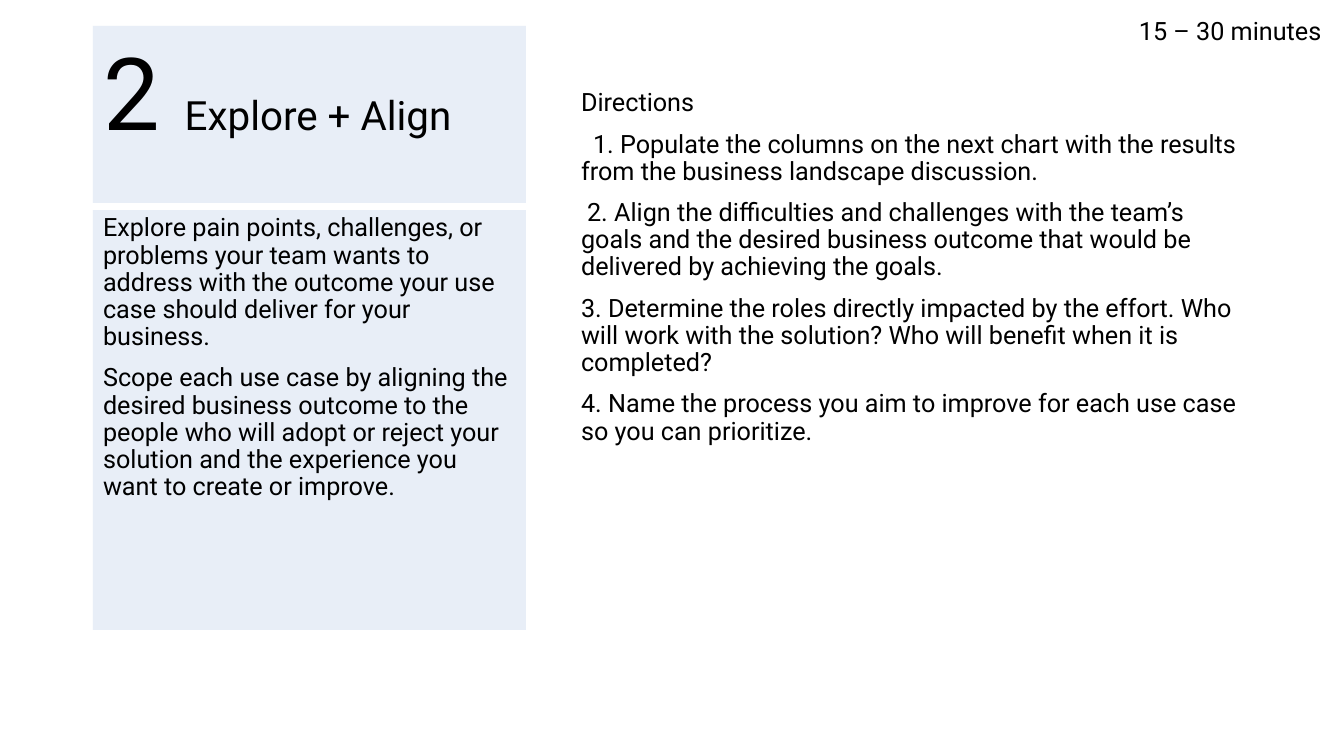
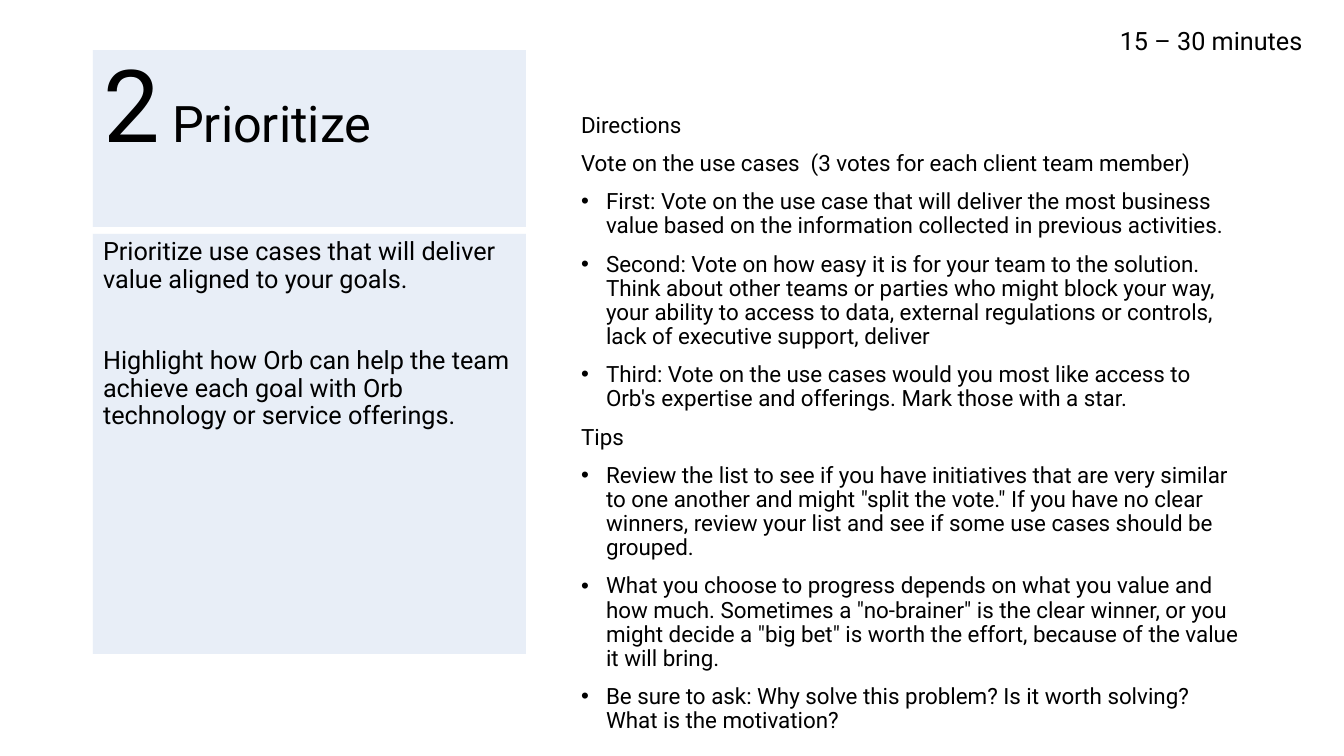
from dataclasses import dataclass

from lxml.etree import SubElement
from pptx import Presentation
from pptx.dml.color import RGBColor
from pptx.enum.text import MSO_ANCHOR, MSO_AUTO_SIZE, PP_ALIGN
from pptx.oxml.ns import qn
from pptx.util import Emu, Pt


@dataclass(frozen=True)
class Theme:
    font: str = "Roboto"
    ink: RGBColor = RGBColor(0, 0, 0)
    panel: RGBColor = RGBColor(0xB4, 0xC7, 0xE7)
    panel_alpha: int = 30
    number: float = 72
    text: float = 18
    line: float = 0.9
    gap: float = 10


@dataclass(frozen=True)
class Para:
    text: str
    bullet: bool = False
    first: int = 0          # first-line indent, px
    before: float = Theme.gap


T = Theme()
PX = 914400 / 100.8
BULLET = 25


def place(shape, *box, fill=False):
    """Position a shape in px, reset its text frame, and tint it if asked."""
    shape.left, shape.top, shape.width, shape.height = [Emu(round(v * PX)) for v in box]
    tf = shape.text_frame
    tf.word_wrap = True
    tf.auto_size = MSO_AUTO_SIZE.NONE
    tf.vertical_anchor = MSO_ANCHOR.TOP
    if fill:
        shape.fill.solid()
        shape.fill.fore_color.rgb = T.panel
        color = shape.fill._xPr.find(qn("a:solidFill"))[0]
        SubElement(color, qn("a:alpha")).set("val", str(T.panel_alpha * 1000))
    return tf


def write(tf, paras, size):
    """Fill a text frame with styled paragraphs."""
    for i, para in enumerate(paras):
        p = tf.add_paragraph() if i else tf.paragraphs[0]
        p.text = para.text
        p.alignment = PP_ALIGN.LEFT
        p.line_spacing = T.line
        p.space_before = Pt(para.before)
        left, first = (BULLET, -BULLET) if para.bullet else (0, para.first)
        pPr = p._p.get_or_add_pPr()
        pPr.set("marL", str(round(left * PX)))
        pPr.set("indent", str(round(first * PX)))
        if para.bullet:
            SubElement(pPr, qn("a:buChar")).set("char", "•")
        else:
            SubElement(pPr, qn("a:buNone"))
        for r in p.runs:
            r.font.name, r.font.size, r.font.color.rgb = T.font, Pt(size), T.ink


# Content
slides = [
    dict(
        number="2 ", title="Explore + Align", title_size=28.8, title_pad=51,
        top=26, body_size=18, body_height=599, time_at=(1129, 10),
        panel=[
            Para("Explore pain points, challenges, or problems your team wants to address "
                 "with the outcome your use case should deliver for your business."),
            Para("Scope each use case by aligning the desired business outcome to the people "
                 "who will adopt or reject your solution and the experience you want to "
                 "create or improve."),
        ],
        body=[
            Para("Directions"),
            Para("1. Populate the columns on the next chart with the results from the "
                 "business landscape discussion.", first=12),
            Para("2. Align the difficulties and challenges with the team’s goals and the "
                 "desired business outcome that would be delivered by achieving the goals.",
                 first=6),
            Para("3. Determine the roles directly impacted by the effort. Who will work with "
                 "the solution? Who will benefit when it is completed?"),
            Para("4. Name the process you aim to improve for each use case so you can "
                 "prioritize."),
        ],
    ),
    dict(
        number="2", title=" Prioritize", title_size=36, title_pad=63,
        top=50, body_size=16, body_height=668, time_at=(1110, 20),
        panel=[
            Para("Prioritize use cases that will deliver value aligned to your goals."),
            Para("Highlight how Orb can help the team achieve each goal with Orb technology "
                 "or service offerings.", before=39),
        ],
        body=[
            Para("Directions"),
            Para("Vote on the use cases  (3 votes for each client team member)"),
            Para("First: Vote on the use case that will deliver the most business value based "
                 "on the information collected in previous activities.", bullet=True),
            Para("Second: Vote on how easy it is for your team to the solution. Think about "
                 "other teams or parties who might block your way, your ability to access to "
                 "data, external regulations or controls, lack of executive support, deliver",
                 bullet=True),
            Para("Third: Vote on the use cases would you most like access to Orb's expertise "
                 "and offerings. Mark those with a star.", bullet=True),
            Para("Tips"),
            Para("Review the list to see if you have initiatives that are very similar to one "
                 'another and might "split the vote." If you have no clear winners, review '
                 "your list and see if some use cases should be grouped.", bullet=True),
            Para("What you choose to progress depends on what you value and how much. "
                 'Sometimes a "no-brainer" is the clear winner, or you might decide a "big '
                 'bet" is worth the effort, because of the value it will bring.', bullet=True),
            Para("Be sure to ask: Why solve this problem? Is it worth solving? What is the "
                 "motivation?", bullet=True),
        ],
    ),
]

prs = Presentation()
prs.slide_width, prs.slide_height = Emu(round(1344 * PX)), Emu(round(756 * PX))
two_content = prs.slide_layouts[3]

for d in slides:
    s = prs.slides.add_slide(two_content)
    title, body, panel = s.placeholders
    top = d["top"]

    # Title band: large step number, then the step name
    tf = place(title, 93, top, 433, 177, fill=True)
    tf.vertical_anchor = MSO_ANCHOR.BOTTOM
    tf.margin_bottom = Emu(round(d["title_pad"] * PX))
    write(tf, [Para(d["number"], before=0)], T.number)
    r = tf.paragraphs[0].add_run()
    r.text = d["title"]
    r.font.name, r.font.size, r.font.color.rgb = T.font, Pt(d["title_size"]), T.ink

    # Directions on the right
    write(place(body, 571, top + 59, 680, d["body_height"]), d["body"], d["body_size"])

    # Summary panel under the title
    write(place(panel, 93, top + 184, 433, 420, fill=True), d["panel"], T.text)

    # Duration
    tb = s.shapes.add_textbox(0, 0, 0, 0)
    tf = place(tb, *d["time_at"], 212, 40)
    tf.text = "15 – 30 minutes"
    r = tf.paragraphs[0].runs[0]
    r.font.name, r.font.size, r.font.color.rgb = T.font, Pt(T.text), T.ink

prs.save("out.pptx")
